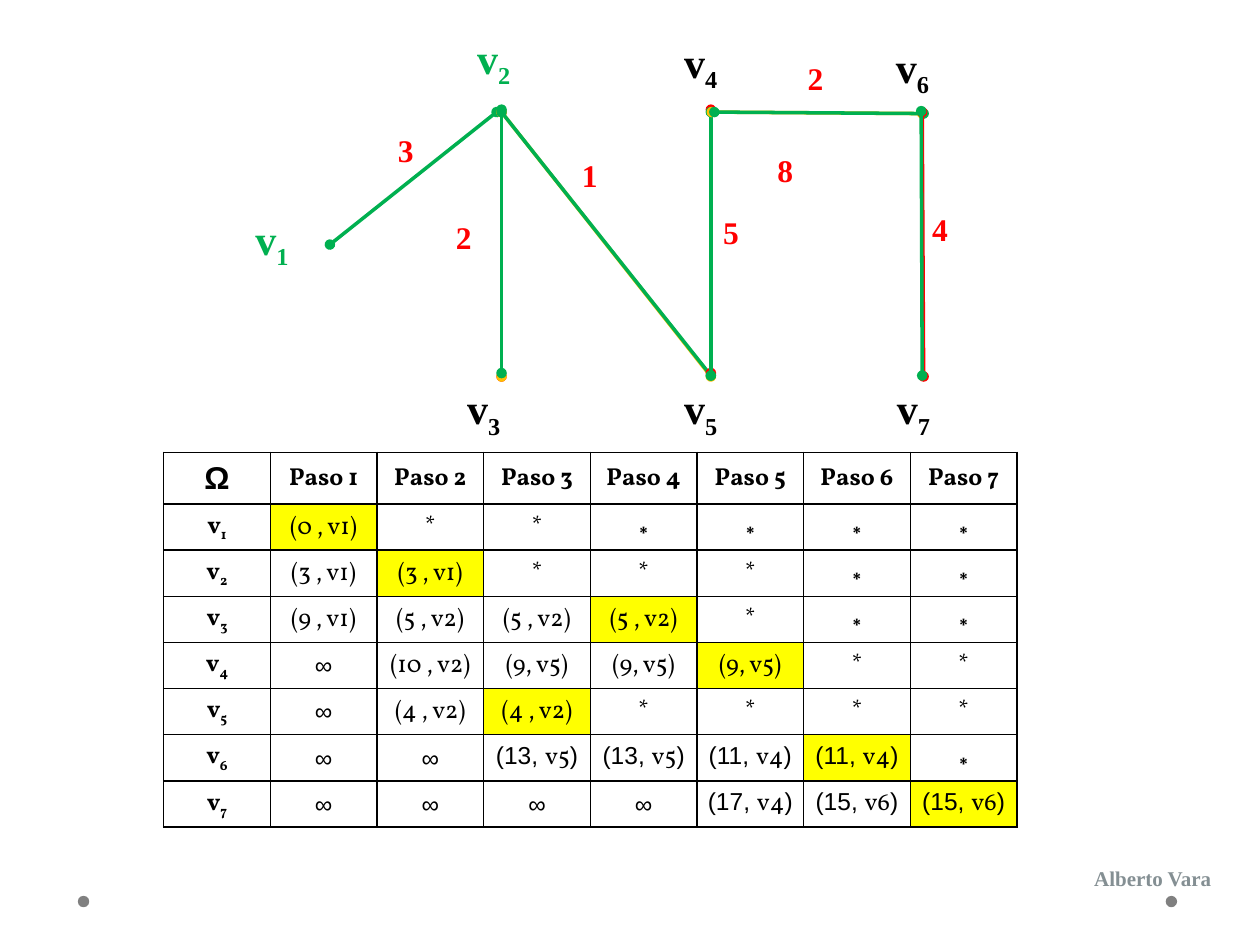
import pptx
import pptx.util
import pptx.dml.color
import pptx.enum.shapes
import pptx.enum.text
import pptx.oxml
import pptx.oxml.ns

Cm = pptx.util.Cm
Pt = pptx.util.Pt
RGBColor = pptx.dml.color.RGBColor
PP_ALIGN = pptx.enum.text.PP_ALIGN

BLACK = RGBColor(0, 0, 0)
RED = RGBColor(0xFF, 0, 0)
GREEN = RGBColor(0, 0xB0, 0x50)
AMBER = RGBColor(0xFF, 0xC0, 0)
YELLOW = RGBColor(0xFF, 0xFF, 0)
GRAY = RGBColor(0x80, 0x80, 0x80)
SLATE = RGBColor(0x84, 0x8F, 0x93)

SERIF = "Times New Roman"
BOOK = "Vollkorn"
SANS = "Arial"

NODES = [
    ("1", 4.9, 4.17, GREEN), ("2", 9.37, 0.53, GREEN),
    ("3", 9.17, 7.59, BLACK), ("4", 13.54, 0.61, BLACK),
    ("6", 17.81, 0.71, BLACK), ("7", 17.83, 7.59, BLACK),
    ("5", 13.54, 7.59, BLACK),
]
COSTS = [
    ("3", 7.77, 2.51), ("2", 8.94, 4.27), ("1", 11.48, 3.02),
    ("5", 14.33, 4.17), ("2", 16.03, 1.07), ("8", 15.42, 2.92),
    ("4", 18.54, 4.11),
]
EDGES = [
    (6.65, 4.93, 10.01, 2.26, GREEN),
    (10.11, 7.59, 10.11, 2.26, RED),
    (10.11, 7.59, 10.11, 2.26, AMBER),
    (10.11, 2.26, 14.33, 7.59, AMBER),
    (10.11, 2.26, 14.33, 7.57, GREEN),
    (14.33, 7.52, 14.33, 2.21, RED),
    (14.33, 7.57, 14.33, 2.26, GREEN),
    (10.11, 7.52, 10.11, 2.21, GREEN),
    (14.35, 2.26, 18.59, 2.29, AMBER),
    (14.4, 2.26, 18.62, 2.29, GREEN),
    (18.59, 2.26, 18.62, 7.59, RED),
    (18.57, 2.24, 18.59, 7.57, GREEN),
]
STEPS = [
    ["(0 , v1)", "*", "*", "∗", "∗", "∗", "∗"],
    ["(3 , v1)", "(3 , v1)", "*", "*", "*", "∗", "∗"],
    ["(9 , v1)", "(5 , v2)", "(5 , v2)", "(5 , v2)", "*", "∗", "∗"],
    ["∞", "(10 , v2)", "(9, v5)", "(9, v5)", "(9, v5)", "*", "*"],
    ["∞", "(4 , v2)", "(4 , v2)", "*", "*", "*", "*"],
    ["∞", "∞", "(13, v5)", "(13, v5)", "(11, v4)", "(11, v4)", "∗"],
    ["∞", "∞", "∞", "∞", "(17, v4)", "(15, v6)", "(15, v6)"],
]
PICKS = {1: 1, 2: 2, 3: 4, 4: 5, 5: 3, 6: 6, 7: 7}


def write(frame, text, font=BOOK, size=14, color=BLACK, bold=False,
          sub="", align=PP_ALIGN.LEFT):
    para = frame.paragraphs[0]
    para.alignment = align
    for part, base in ((text, 0), (sub, -25000)):
        if not part:
            continue
        run = para.add_run()
        run.text = part
        run.font.name = font
        run.font.size = Pt(size)
        run.font.bold = bold
        run.font.color.rgb = color
        if base:
            run._r.get_or_add_rPr().set("baseline", str(base))


def label(slide, left, top, width, height, text, **form):
    box = slide.shapes.add_textbox(Cm(left), Cm(top), Cm(width), Cm(height))
    box.text_frame.word_wrap = False
    write(box.text_frame, text, **form)


def dot(slide, left, top):
    shape = slide.shapes.add_shape(
        pptx.enum.shapes.MSO_SHAPE.OVAL, Cm(left), Cm(top), Cm(0.23), Cm(0.23))
    shape.shadow.inherit = False
    shape.fill.solid()
    shape.fill.fore_color.rgb = GRAY
    shape.line.fill.background()


def add_xml(parent, tag, **attrs):
    node = pptx.oxml.ns.qn(tag)
    child = parent.makeelement(node, attrs)
    parent.append(child)
    return child


def edge(slide, x1, y1, x2, y2, color):
    line = slide.shapes.add_connector(
        pptx.enum.shapes.MSO_CONNECTOR.STRAIGHT, Cm(x1), Cm(y1), Cm(x2), Cm(y2))
    line.line.color.rgb = color
    line.line.width = Pt(2)
    stroke = line.line._get_or_add_ln()
    add_xml(stroke, "a:headEnd", type="oval")
    add_xml(stroke, "a:tailEnd", type="oval")
    add_xml(line._element.spPr, "a:effectLst")


def style(cell, fill):
    cell.margin_left = cell.margin_right = cell.margin_top = Cm(0.03)
    cell.margin_bottom = 0
    cell.vertical_anchor = pptx.enum.text.MSO_ANCHOR.MIDDLE
    props = cell._tc.get_or_add_tcPr()
    for side in ("L", "R", "T", "B"):
        rule = add_xml(props, "a:ln" + side, w=str(Pt(1)))
        add_xml(add_xml(rule, "a:solidFill"), "a:srgbClr", val=str(BLACK))
    if fill:
        cell.fill.solid()
        cell.fill.fore_color.rgb = fill
    else:
        cell.fill.background()


def fill_step(frame, text, row):
    mid = {"align": PP_ALIGN.CENTER}
    if text in ("∞", "∗"):
        write(frame, text, font=SANS, **mid)
    elif row >= 6:
        cost, node = text[:-1].split(" ")
        write(frame, cost + " ", font=SANS, **mid)
        write(frame, node, **mid)
        write(frame, ")", font=SANS, **mid)
    else:
        write(frame, text, **mid)


def grid(slide):
    table = slide.shapes.add_table(
        8, 8, Cm(3.3), Cm(9.12), Cm(17.2), Cm(7.55)).table
    table.first_row = table.horz_banding = False
    for col in table.columns:
        col.width = Cm(2.15)
    for num, row in enumerate(table.rows):
        row.height = Cm(0.93 if num else 1.04)
    head = {"bold": True, "align": PP_ALIGN.CENTER}
    for row in range(8):
        for col in range(8):
            cell = table.cell(row, col)
            style(cell, YELLOW if PICKS.get(row) == col else None)
            frame = cell.text_frame
            if row and col:
                fill_step(frame, STEPS[row - 1][col - 1], row)
            elif row:
                write(frame, "v", sub=str(row), **head)
            elif col:
                write(frame, f"Paso {col}", **head)
            else:
                write(frame, "Ω", font=SANS, size=18, **head)


def main():
    deck = pptx.Presentation()
    deck.slide_width, deck.slide_height = Cm(25.4), Cm(19.05)
    slide = deck.slides.add_slide(deck.slide_layouts[6])
    for left in (23.5, 1.57):
        dot(slide, left, 18.06)
    label(slide, 21.79, 17.32, 2.9, 0.76, "Alberto Vara", font=SERIF,
          size=12, color=SLATE, bold=True, align=PP_ALIGN.CENTER)
    for num, left, top, color in NODES:
        label(slide, left, top, 1.6, 1.55, "v", sub=num, font=SERIF,
              size=24, color=color, bold=True)
    for item in EDGES:
        edge(slide, *item)
    for cost, left, top in COSTS:
        label(slide, left, top, 1.09, 1.24, cost, font=SERIF,
              size=18, color=RED, bold=True)
    grid(slide)
    deck.save("out.pptx")


if __name__ == "__main__":
    main()
